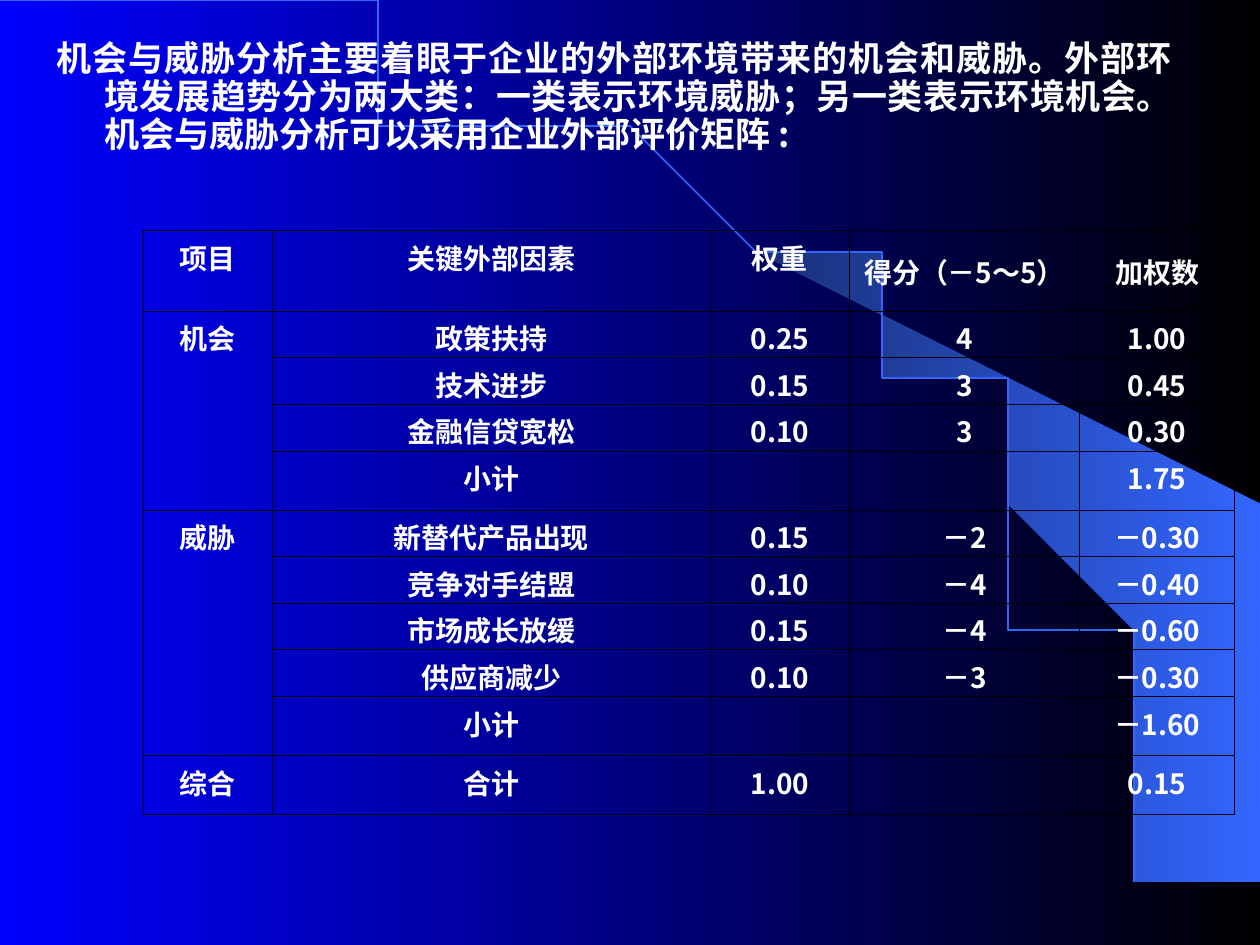
import lxml.etree
import pptx
import pptx.dml.color
import pptx.enum.text
import pptx.oxml.ns
import pptx.util

Inches = pptx.util.Inches
Pt = pptx.util.Pt
RGBColor = pptx.dml.color.RGBColor
qn = pptx.oxml.ns.qn
ALIGN = pptx.enum.text.PP_ALIGN
ANCHOR = pptx.enum.text.MSO_ANCHOR

BLUE = RGBColor(0x00, 0x00, 0xFF)
BLACK = RGBColor(0x00, 0x00, 0x00)
NAVY = RGBColor(0x18, 0x2F, 0x76)
AZURE = RGBColor(0x33, 0x66, 0xFF)
WHITE = RGBColor(0xFF, 0xFF, 0xFF)
CJK_FONT = "Noto Sans CJK SC"
LATIN_FONT = "Times New Roman"

CRESCENT = [
    (9.2, 7.48), (9.99, 7.49), (9.99, 4.23), (5.89, 1.73), (6.24, 1.99),
    (6.53, 2.22), (6.85, 2.5), (7.16, 2.8), (7.62, 3.3), (8.03, 3.84),
    (8.32, 4.31), (8.58, 4.79), (8.78, 5.28), (8.93, 5.72), (9.03, 6.09),
    (9.13, 6.56), (9.17, 6.96),
]
ARC_CONTROLS = [(0, 0), (5.08, 0), (9.2, 3.35), (9.2, 7.49)]

INTRODUCTION = [
    ("机会与威胁分析主要着眼于企业的外部环境带来的机会和威胁。外部环境发展趋势分为两大类："
     "一类表示环境威胁；另一类表示环境机会。", CJK_FONT),
    ("机会与威胁分析可以采用企业外部评价矩阵 ", LATIN_FONT),
    (":", CJK_FONT),
]

COLUMN_WIDTHS = [1.02, 3.48, 1.1, 1.83, 1.23]
HEADER_HEIGHT, ROW_HEIGHT, TOTAL_HEIGHT = 0.64, 0.37, 0.47
TOTAL_LABELS = ("小计", "合计")
MATRIX = [
    ("项目", "关键外部因素", "权重", "得分（－5～5）", "加权数"),
    ("机会", "政策扶持", "0.25", "4", "1.00"),
    ("", "技术进步", "0.15", "3", "0.45"),
    ("", "金融信贷宽松", "0.10", "3", "0.30"),
    ("", "小计", "", "", "1.75"),
    ("威胁", "新替代产品出现", "0.15", "－2", "－0.30"),
    ("", "竞争对手结盟", "0.10", "－4", "－0.40"),
    ("", "市场成长放缓", "0.15", "－4", "－0.60"),
    ("", "供应商减少", "0.10", "－3", "－0.30"),
    ("", "小计", "", "", "－1.60"),
    ("综合", "合计", "1.00", "", "0.15"),
]
GROUP_ROWS = [(1, 4), (5, 9)]


def add_text(paragraph, text, size=16, font=CJK_FONT, color=WHITE, bold=True, align=ALIGN.CENTER):
    paragraph.alignment = align
    run = paragraph.add_run()
    run.text = text
    run.font.size = Pt(size)
    run.font.bold = bold
    run.font.color.rgb = color
    run.font.name = font
    lxml.etree.SubElement(run.font._element, qn("a:ea"), typeface=CJK_FONT)


def bezier_points(controls, steps=80):
    points = []
    for step in range(steps + 1):
        t = step / steps
        weights = [(1 - t) ** 3, 3 * t * (1 - t) ** 2, 3 * t ** 2 * (1 - t), t ** 3]
        points.append(tuple(
            sum(weight * control[axis] for weight, control in zip(weights, controls))
            for axis in (0, 1)))
    return points


class SlideBuilder:
    def __init__(self, slide):
        self.slide = slide
        self.border_width = Pt(0.45)
        self.border_color = BLACK

    def fill_gradient(self, fill, start, end):
        fill.gradient()
        fill.gradient_angle = 0
        for stop, color, position in zip(fill.gradient_stops, (start, end), (0, 1)):
            stop.color.rgb = color
            stop.position = position

    def background(self, start, end):
        self.fill_gradient(self.slide.background.fill, start, end)

    def outline(self, points, close):
        builder = self.slide.shapes.build_freeform(*points[0], scale=Inches(1))
        builder.add_line_segments(points[1:], close=close)
        shape = builder.convert_to_shape()
        shape.shadow.inherit = False
        return shape

    def gradient_area(self, points, start, end):
        shape = self.outline(points, True)
        self.fill_gradient(shape.fill, start, end)
        shape.line.fill.background()

    def curve(self, controls, color, width):
        shape = self.outline(bezier_points(controls), False)
        shape.fill.background()
        shape.line.color.rgb = color
        shape.line.width = Pt(width)

    def hanging_text(self, pieces, left, top, width, height, indent):
        box = self.slide.shapes.add_textbox(Inches(left), Inches(top), Inches(width), Inches(height))
        box.text_frame.word_wrap = True
        paragraph = box.text_frame.paragraphs[0]
        paragraph.line_spacing = 0.9
        properties = paragraph._p.get_or_add_pPr()
        properties.set("marL", str(Inches(indent)))
        properties.set("indent", str(-Inches(indent)))
        for text, font in pieces:
            add_text(paragraph, text, size=20, font=font, align=ALIGN.JUSTIFY)

    def border(self, cell):
        properties = cell._tc.get_or_add_tcPr()
        for side in ("a:lnL", "a:lnR", "a:lnT", "a:lnB"):
            line = lxml.etree.SubElement(properties, qn(side), w=str(self.border_width))
            fill = lxml.etree.SubElement(line, qn("a:solidFill"))
            lxml.etree.SubElement(fill, qn("a:srgbClr"), val=str(self.border_color))

    def table(self, rows, left, top, widths, heights, groups):
        frame = self.slide.shapes.add_table(
            len(rows), len(widths), Inches(left), Inches(top),
            Inches(sum(widths)), Inches(sum(heights)))
        table = frame.table
        table.first_row = False
        table.horz_banding = False
        for column, width in zip(table.columns, widths):
            column.width = Inches(width)
        for row, height, texts in zip(table.rows, heights, rows):
            row.height = Inches(height)
            for cell, text in zip(row.cells, texts):
                self.border(cell)
                cell.fill.background()
                if text:
                    add_text(cell.text_frame.paragraphs[0], text)
        for first, last in groups:
            table.cell(first, 0).merge(table.cell(last, 0))
        return table


def main():
    presentation = pptx.Presentation()
    presentation.slide_width = Inches(10)
    presentation.slide_height = Inches(7.5)
    builder = SlideBuilder(presentation.slides.add_slide(presentation.slide_layouts[6]))

    builder.background(BLUE, BLACK)
    builder.gradient_area(CRESCENT, NAVY, AZURE)
    builder.curve(ARC_CONTROLS, AZURE, 1)
    builder.hanging_text(INTRODUCTION, 0.35, 0.28, 9.05, 1.57, 0.38)

    heights = [HEADER_HEIGHT] + [
        TOTAL_HEIGHT if row[1] in TOTAL_LABELS else ROW_HEIGHT for row in MATRIX[1:]]
    table = builder.table(MATRIX, 1.14, 1.83, COLUMN_WIDTHS, heights, GROUP_ROWS)
    for column in (3, 4):
        table.cell(0, column).vertical_anchor = ANCHOR.MIDDLE

    presentation.save("out.pptx")


if __name__ == "__main__":
    main()
